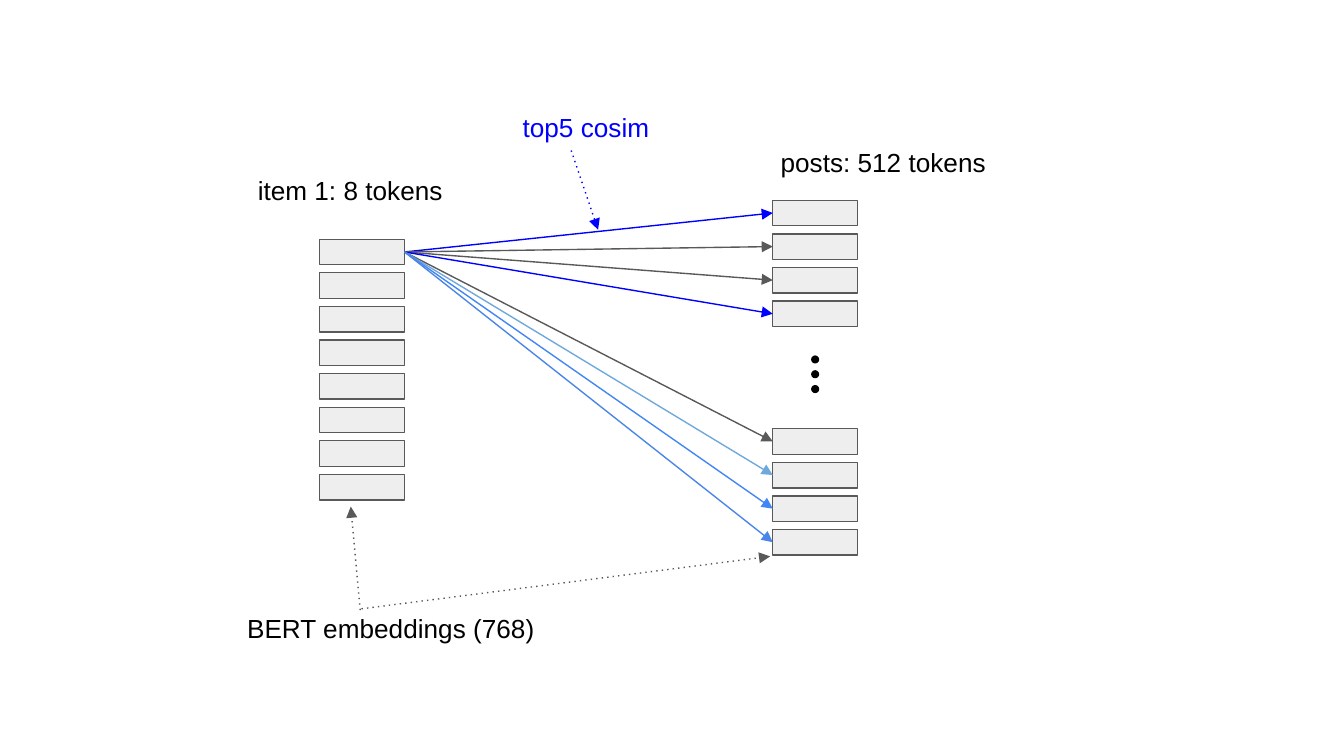
from lxml import etree
from pptx import Presentation
from pptx.dml.color import RGBColor
from pptx.enum.shapes import MSO_CONNECTOR, MSO_SHAPE
from pptx.enum.text import MSO_AUTO_SIZE
from pptx.oxml.ns import qn
from pptx.util import Inches, Pt

RECTANGLE = MSO_SHAPE.RECTANGLE
OVAL = MSO_SHAPE.OVAL
STRAIGHT = MSO_CONNECTOR.STRAIGHT
FIT_SHAPE = MSO_AUTO_SIZE.SHAPE_TO_FIT_TEXT

COLORS = {
    "black": "000000",
    "gray": "595959",
    "cell": "EEEEEE",
    "blue": "0000FF",
    "pale_blue": "6FA8DC",
    "mid_blue": "4285F4",
    "soft_blue": "4A86E8",
}
SLIDE_WIDTH = 10
SLIDE_HEIGHT = SLIDE_WIDTH * 9 / 16
LINE_WIDTH = Pt(0.75)
TOKEN_WIDTH, TOKEN_HEIGHT, TOKEN_STEP = 0.63, 0.19, 0.25
ITEM_LEFT, ITEM_TOP = 2.38, 1.78
POST_LEFT = 5.75
POST_TOPS = (1.49, 3.19)
POSTS_PER_GROUP = 4
DOT_LEFT, DOT_TOP, DOT_SIZE, DOT_STEP = 6.04, 2.65, 0.05, 0.11
SIMILARITY_COLORS = ("blue", "gray", "gray", "blue",
                     "gray", "pale_blue", "mid_blue", "soft_blue")
LABELS = (
    ("item 1: 8 tokens", 1.82, 1.2, 2.06, "black"),
    ("posts: 512 tokens", 5.71, 0.99, 2.11, "black"),
    ("BERT embeddings (768)", 1.74, 4.46, 2.78, "black"),
    ("top5 cosim", 3.79, 0.73, 1.38, "blue"),
)
POINTERS = (
    ((2.68, 4.54), (2.61, 3.77), "gray"),
    ((2.69, 4.53), (5.73, 4.14), "gray"),
    ((4.25, 1.12), (4.45, 1.71), "blue"),
)


def rgb(name):
    return RGBColor.from_string(COLORS[name])


def add_box(slide, kind, left, top, width, height, fill, line):
    shape = slide.shapes.add_shape(
        kind, Inches(left), Inches(top), Inches(width), Inches(height))
    shape.shadow.inherit = False
    shape.fill.solid()
    shape.fill.fore_color.rgb = rgb(fill)
    shape.line.color.rgb = rgb(line)
    shape.line.width = LINE_WIDTH


def add_tokens(slide, left, top, count):
    for index in range(count):
        add_box(slide, RECTANGLE, left, top + index * TOKEN_STEP,
                TOKEN_WIDTH, TOKEN_HEIGHT, "cell", "gray")


def add_arrow(slide, start, end, color, dotted=False):
    connector = slide.shapes.add_connector(
        STRAIGHT, *(Inches(value) for value in start + end))
    connector.line.color.rgb = rgb(color)
    connector.line.width = LINE_WIDTH
    properties = connector.element.spPr
    line = properties.find(qn("a:ln"))
    if dotted:
        etree.SubElement(line, qn("a:prstDash"), val="dot")
    etree.SubElement(line, qn("a:tailEnd"), type="triangle")
    etree.SubElement(properties, qn("a:effectLst"))


def add_label(slide, text, left, top, width, color):
    box = slide.shapes.add_textbox(
        Inches(left), Inches(top), Inches(width), Inches(0.44))
    frame = box.text_frame
    frame.word_wrap = True
    frame.auto_size = FIT_SHAPE
    frame.margin_left = frame.margin_right = Inches(0.1)
    frame.margin_top = frame.margin_bottom = Inches(0.1)
    run = frame.paragraphs[0].add_run()
    run.text = text
    run.font.name = "Arial"
    run.font.size = Pt(14)
    run.font.color.rgb = rgb(color)


def main():
    presentation = Presentation()
    presentation.slide_width = Inches(SLIDE_WIDTH)
    presentation.slide_height = Inches(SLIDE_HEIGHT)
    slide = presentation.slides.add_slide(presentation.slide_layouts[6])

    add_tokens(slide, ITEM_LEFT, ITEM_TOP, 8)
    for top in POST_TOPS:
        add_tokens(slide, POST_LEFT, top, POSTS_PER_GROUP)
    for index in range(3):
        add_box(slide, OVAL, DOT_LEFT, DOT_TOP + index * DOT_STEP,
                DOT_SIZE, DOT_SIZE, "black", "black")

    middle = TOKEN_HEIGHT / 2
    start = (ITEM_LEFT + TOKEN_WIDTH, ITEM_TOP + middle)
    for index, color in enumerate(SIMILARITY_COLORS):
        group, row = divmod(index, POSTS_PER_GROUP)
        end = (POST_LEFT, POST_TOPS[group] + row * TOKEN_STEP + middle)
        add_arrow(slide, start, end, color)
    for start, end, color in POINTERS:
        add_arrow(slide, start, end, color, dotted=True)
    for label in LABELS:
        add_label(slide, *label)

    presentation.save("out.pptx")


if __name__ == "__main__":
    main()
